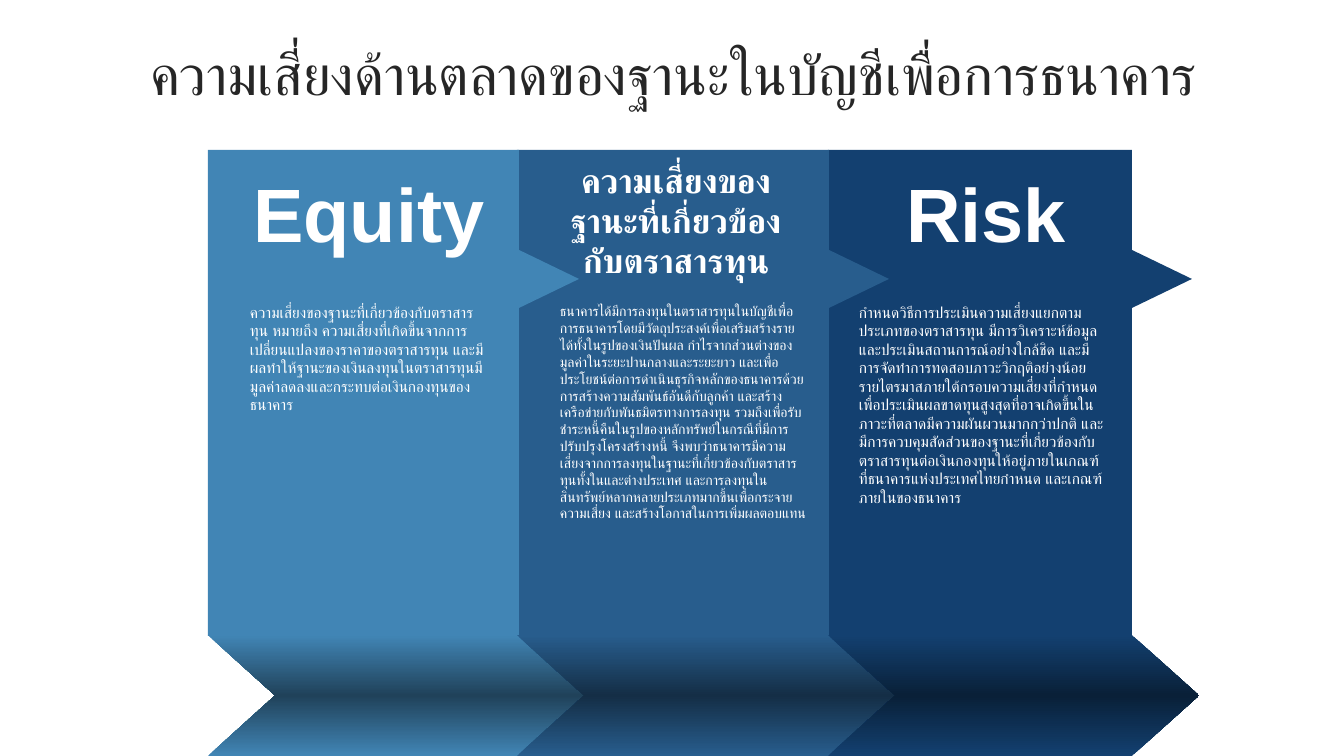
"""Builds the slide on market risk of equity positions in the banking book."""
from copy import deepcopy

from lxml import etree
from pptx import Presentation
from pptx import util as u
from pptx.dml.color import RGBColor
from pptx.enum import lang, shapes, text
from pptx.oxml.ns import qn

PX = 914400 / 100.8
FONT = "Arial"
PANEL_TOP, PANEL_BOTTOM = 150, 636
ARROW_TOP, ARROW_TIP, ARROW_BOTTOM = 250, 279, 308
ARROW_LENGTH = 60
CHEVRON_TOP, CHEVRON_HEIGHT = 635, 121


def color(value):
    return RGBColor.from_string(value)


def write(shape, content, box, size, fill="FFFFFF", bold=False, align="LEFT", anchor="TOP", spacing=None):
    shape.left, shape.top, shape.width, shape.height = [u.Emu(round(n * PX)) for n in box]
    frame = shape.text_frame
    frame.word_wrap = True
    frame.auto_size = text.MSO_AUTO_SIZE.NONE
    frame.vertical_anchor = text.MSO_ANCHOR[anchor]
    paragraph = frame.paragraphs[0]
    paragraph.alignment = text.PP_ALIGN[align]
    paragraph.line_spacing = spacing
    run = paragraph.add_run()
    run.text = content
    run.font.name, run.font.size, run.font.bold = FONT, u.Pt(size), bold
    run.font.color.rgb = color(fill)
    run.font.language_id = lang.MSO_LANGUAGE_ID.THAI
    etree.SubElement(run.font._element, qn("a:cs"), typeface=FONT)


presentation = Presentation()
presentation.slide_width, presentation.slide_height = round(1344 * PX), round(756 * PX)
slide = presentation.slides.add_slide(presentation.slide_layouts[5])

write(slide.shapes.title, "ความเสี่ยงด้านตลาดของฐานะในบัญชีเพื่อการธนาคาร", (35, 37, 1276, 80), 40,
      fill="262626", align="CENTER", anchor="MIDDLE", spacing=0.9)

columns = [
    {"left": 208, "right": 519, "chevron_width": 392, "fill": "4185B5", "shade": "20425A"},
    {"left": 517, "right": 829, "chevron_width": 392, "fill": "285D8D", "shade": "142E46"},
    {"left": 828, "right": 1132, "chevron_width": 371, "fill": "134070", "shade": "092038"},
]

for column in reversed(columns):
    left, right = column["left"], column["right"]
    builder = slide.shapes.build_freeform(left, PANEL_TOP, scale=PX)
    builder.add_line_segments([
        (right, PANEL_TOP), (right, ARROW_TOP), (right + ARROW_LENGTH, ARROW_TIP),
        (right, ARROW_BOTTOM), (right, PANEL_BOTTOM), (left, PANEL_BOTTOM),
    ], close=True)
    panel = builder.convert_to_shape()
    panel.shadow.inherit = False
    panel.fill.solid()
    panel.fill.fore_color.rgb = color(column["fill"])
    panel.line.fill.background()

for column in columns:
    box = column["left"], CHEVRON_TOP, column["chevron_width"], CHEVRON_HEIGHT
    chevron = slide.shapes.add_shape(shapes.MSO_SHAPE.CHEVRON, *[round(n * PX) for n in box])
    chevron.adjustments[0] = 0.555
    chevron.shadow.inherit = False
    chevron.line.fill.background()
    chevron.fill.gradient()
    chevron.fill.gradient_angle = 90
    first_stop = chevron.fill.gradient_stops[0]._gs
    first_stop.addnext(deepcopy(first_stop))
    stops = zip(chevron.fill.gradient_stops, (0, 0.5, 1), ("fill", "shade", "fill"))
    for stop, position, key in stops:
        stop.position = position
        stop.color.rgb = color(column[key])

headings = [
    ("Equity", (210, 162, 318, 102), 54, "TOP"),
    ("ความเสี่ยงของฐานะที่เกี่ยวข้องกับตราสารทุน", (554, 174, 244, 92), 24, "MIDDLE"),
    ("Risk", (827, 162, 318, 102), 54, "TOP"),
]
for content, box, size, anchor in headings:
    write(slide.shapes.add_textbox(0, 0, 0, 0), content, box, size, bold=True, align="CENTER", anchor=anchor)

descriptions = [
    ("ความเสี่ยงของฐานะที่เกี่ยวข้องกับตราสารทุน หมายถึง ความเสี่ยงที่เกิดขึ้นจากการเปลี่ยนแปลงของราคาของตราสารทุน "
     "และมีผลทำให้ฐานะของเงินลงทุนในตราสารทุนมีมูลค่าลดลงและกระทบต่อเงินกองทุนของธนาคาร",
     (240, 298, 256, 167), 11),
    ("ธนาคารได้มีการลงทุนในตราสารทุนในบัญชีเพื่อการธนาคารโดยมีวัตถุประสงค์เพื่อเสริมสร้างรายได้ทั้งในรูปของเงินปันผล "
     "กำไรจากส่วนต่างของมูลค่าในระยะปานกลางและระยะยาว "
     "และเพื่อประโยชน์ต่อการดำเนินธุรกิจหลักของธนาคารด้วยการสร้างความสัมพันธ์อันดีกับลูกค้า "
     "และสร้างเครือข่ายกับพันธมิตรทางการลงทุน "
     "รวมถึงเพื่อรับชำระหนี้คืนในรูปของหลักทรัพย์ในกรณีที่มีการปรับปรุงโครงสร้างหนี้ "
     "จึงพบว่าธนาคารมีความเสี่ยงจากการลงทุนในฐานะที่เกี่ยวข้องกับตราสารทุนทั้งในและต่างประเทศ "
     "และการลงทุนในสินทรัพย์หลากหลายประเภทมากขึ้นเพื่อกระจายความเสี่ยง และสร้างโอกาสในการเพิ่มผลตอบแทน",
     (550, 298, 266, 367), 10),
    ("กำหนดวิธีการประเมินความเสี่ยงแยกตามประเภทของตราสารทุน "
     "มีการวิเคราะห์ข้อมูลและประเมินสถานการณ์อย่างใกล้ชิด "
     "และมีการจัดทำการทดสอบภาวะวิกฤติอย่างน้อยรายไตรมาสภายใต้กรอบความเสี่ยงที่กำหนด "
     "เพื่อประเมินผลขาดทุนสูงสุดที่อาจเกิดขึ้นในภาวะที่ตลาดมีความผันผวนมากกว่าปกติ "
     "และมีการควบคุมสัดส่วนของฐานะที่เกี่ยวข้องกับตราสารทุนต่อเงินกองทุนให้อยู่ภายในเกณฑ์ที่ธนาคารแห่งประเทศไทยกำหนด "
     "และเกณฑ์ภายในของธนาคาร",
     (849, 298, 266, 324), 11),
]
for content, box, size in descriptions:
    write(slide.shapes.add_textbox(0, 0, 0, 0), content, box, size)

presentation.save("out.pptx")
